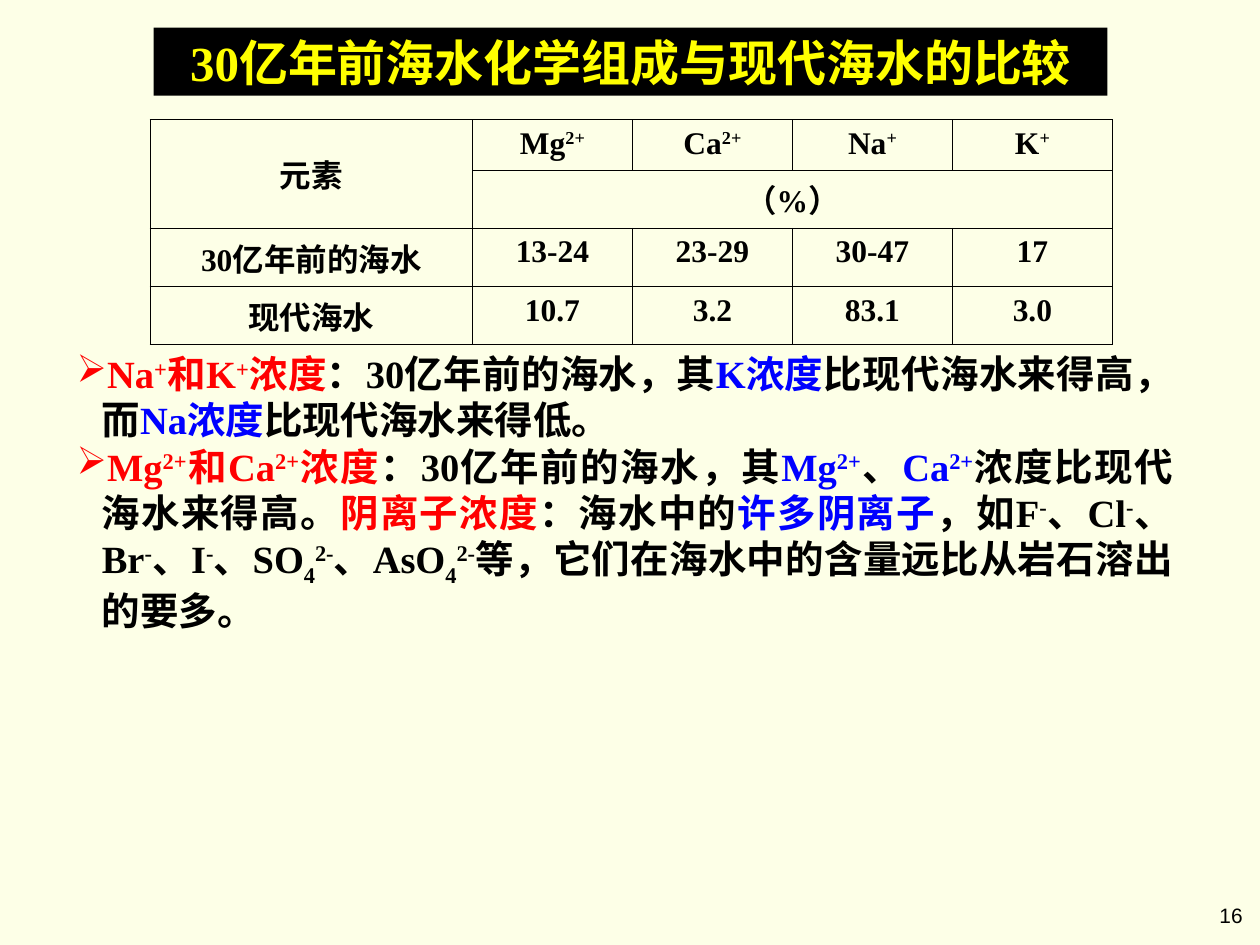
from lxml.etree import SubElement
from pptx import Presentation
from pptx.dml.color import RGBColor
from pptx.enum.shapes import MSO_SHAPE
from pptx.enum.text import MSO_ANCHOR, MSO_AUTO_SIZE, PP_ALIGN
from pptx.oxml import parse_xml
from pptx.oxml.ns import nsdecls, qn
from pptx.util import Inches, Pt

CREAM = RGBColor(0xFD, 0xFF, 0xE7)
BLACK = RGBColor(0, 0, 0)
YELLOW = RGBColor(0xFF, 0xFF, 0)
RED = RGBColor(0xFF, 0, 0)
BLUE = RGBColor(0, 0, 0xFF)

SERIF = "Times New Roman"
BASELINES = {"^": "30000", "_": "-25000"}

# Table grid
COLUMNS = [2.56] + [1.27] * 4
ROWS = [0.4, 0.42, 0.4, 0.4]
# "|" parts runs; a part led by ^ is raised, by _ lowered
COMPOSITION = [
    ["元素", "Mg|^2+", "Ca|^2+", "Na|^+", "K|^+"],
    ["", "（%）", "", "", ""],
    ["30亿年前的海水", "13-24", "23-29", "30-47", "17"],
    ["现代海水", "10.7", "3.2", "83.1", "3.0"],
]

FINDINGS = [
    [
        ("Na|^+|和K|^+|浓度", RED),
        ("：30亿年前的海水，其", BLACK),
        ("K浓度", BLUE),
        ("比现代海水来得高，而", BLACK),
        ("Na浓度", BLUE),
        ("比现代海水来得低。", BLACK),
    ],
    [
        ("Mg|^2+|和Ca|^2+|浓度", RED),
        ("：30亿年前的海水，其", BLACK),
        ("Mg|^2+", BLUE),
        ("、", BLACK),
        ("Ca|^2+", BLUE),
        ("浓度比现代海水来得高。", BLACK),
        ("阴离子浓度", RED),
        ("：海水中的", BLACK),
        ("许多阴离子", BLUE),
        ("，如F|^-|、Cl|^-|、Br|^-|、I|^-|、SO|_4|^2-|、AsO|_4|^2-"
         "|等，它们在海水中的含量远比从岩石溶出的要多。", BLACK),
    ],
]


def add_runs(paragraph, marked_text, size, color=BLACK, font=SERIF, bold=True):
    for part in marked_text.split("|"):
        baseline = BASELINES.get(part[:1])
        run = paragraph.add_run()
        run.text = part[1:] if baseline else part
        run.font.size = Pt(size)
        run.font.name = font
        run.font.bold = bold
        run.font.color.rgb = color
        if baseline:
            run.font._element.set("baseline", baseline)


def add_text_frame(slide, left, top, width, height):
    box = slide.shapes.add_textbox(
        Inches(left), Inches(top), Inches(width), Inches(height))
    box.text_frame.word_wrap = True
    return box.text_frame


def add_title(slide, text):
    banner = slide.shapes.add_shape(
        MSO_SHAPE.RECTANGLE, Inches(1.22), Inches(0.22), Inches(7.57), Inches(0.54))
    banner.shadow.inherit = False
    banner.fill.solid()
    banner.fill.fore_color.rgb = BLACK
    banner.line.fill.background()
    banner.text_frame.vertical_anchor = MSO_ANCHOR.MIDDLE
    heading = banner.text_frame.paragraphs[0]
    heading.alignment = PP_ALIGN.CENTER
    add_runs(heading, text, 28, YELLOW)


def draw_borders(cell):
    properties = cell._tc.get_or_add_tcPr()
    for position, side in enumerate(("lnL", "lnR", "lnT", "lnB")):
        properties.insert(position, parse_xml(
            f'<a:{side} {nsdecls("a")} w="{Pt(0.45)}"><a:solidFill>'
            f'<a:srgbClr val="{BLACK}"/></a:solidFill></a:{side}>'))


def add_composition_table(slide):
    table = slide.shapes.add_table(
        len(ROWS), len(COLUMNS), Inches(1.19), Inches(0.95),
        Inches(sum(COLUMNS)), Inches(sum(ROWS))).table
    table.first_row = table.horz_banding = False
    for column, width in zip(table.columns, COLUMNS):
        column.width = Inches(width)
    for row, height in zip(table.rows, ROWS):
        row.height = Inches(height)

    # Element heading spans two rows, the unit spans the four ions
    table.cell(0, 0).merge(table.cell(1, 0))
    table.cell(1, 1).merge(table.cell(1, 4))
    table.cell(0, 0).vertical_anchor = MSO_ANCHOR.MIDDLE

    for row, entries in zip(table.rows, COMPOSITION):
        for cell, entry in zip(row.cells, entries):
            cell.fill.background()
            draw_borders(cell)
            if entry:
                paragraph = cell.text_frame.paragraphs[0]
                paragraph.alignment = PP_ALIGN.CENTER
                add_runs(paragraph, entry, 18)


def add_bullet(paragraph, color):
    properties = paragraph._p.get_or_add_pPr()
    properties.set("marL", str(Inches(0.2)))
    properties.set("indent", str(Inches(-0.2)))
    bullet_color = SubElement(properties, qn("a:buClr"))
    SubElement(bullet_color, qn("a:srgbClr"), val=str(color))
    SubElement(properties, qn("a:buChar"), char="➢")


def add_findings(slide):
    frame = add_text_frame(slide, 0.51, 2.73, 8.9, 2.35)
    frame.auto_size = MSO_AUTO_SIZE.SHAPE_TO_FIT_TEXT
    for index, finding in enumerate(FINDINGS):
        paragraph = frame.add_paragraph() if index else frame.paragraphs[0]
        paragraph.alignment = PP_ALIGN.JUSTIFY
        add_bullet(paragraph, RED)
        for text, color in finding:
            add_runs(paragraph, text, 22, color)


def add_page_number(slide, number):
    paragraph = add_text_frame(slide, 9.32, 7.14, 0.64, 0.31).paragraphs[0]
    paragraph.alignment = PP_ALIGN.RIGHT
    paragraph.line_spacing = 0.9
    add_runs(paragraph, number, 11.9, font="Arial", bold=False)


def main():
    presentation = Presentation()
    presentation.slide_width = Inches(10)
    presentation.slide_height = Inches(7.5)
    slide = presentation.slides.add_slide(presentation.slide_layouts[6])
    slide.background.fill.solid()
    slide.background.fill.fore_color.rgb = CREAM

    add_title(slide, "30亿年前海水化学组成与现代海水的比较")
    add_composition_table(slide)
    add_findings(slide)
    add_page_number(slide, "16")
    presentation.save("out.pptx")


if __name__ == "__main__":
    main()
